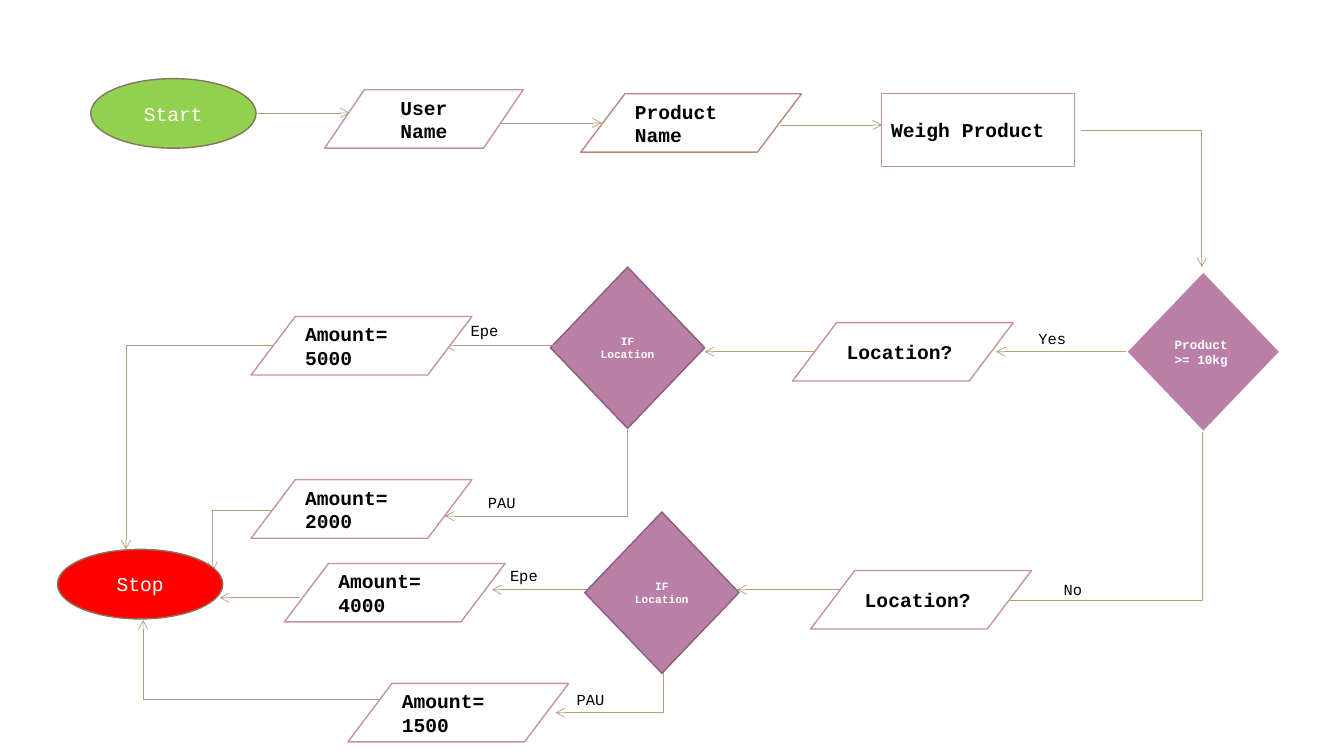
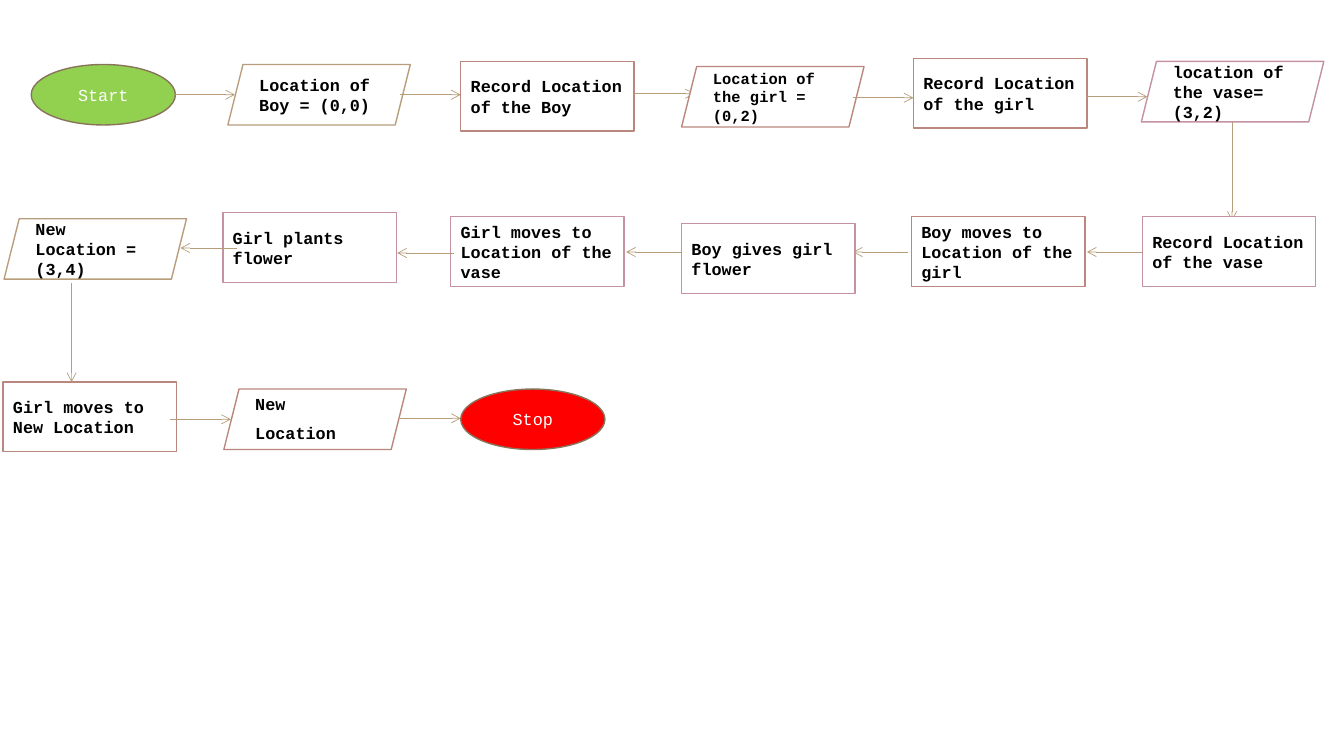
"""Build two flowchart slides: delivery pricing and the flower story."""
import pptx
import pptx.dml.color
import pptx.enum.shapes
import pptx.enum.text
import pptx.oxml.ns
import pptx.util
from lxml import etree

Inches = pptx.util.Inches
Pt = pptx.util.Pt
qn = pptx.oxml.ns.qn
SHAPE = pptx.enum.shapes.MSO_SHAPE
LINK = pptx.enum.shapes.MSO_CONNECTOR
ALIGN = pptx.enum.text.PP_ALIGN
ANCHOR = pptx.enum.text.MSO_ANCHOR
AUTOSIZE = pptx.enum.text.MSO_AUTO_SIZE
FONT = "Courier New"
COLORS = {
    "white": "FFFFFF", "black": "000000", "green": "92D050", "red": "FF0000",
    "olive": "88745B", "tan": "B89D7B", "rose": "C492A0", "clay": "BA877F",
    "purple": "BA7FA7", "plum": "8A5E7C",
}


def rgb(name):
    return pptx.dml.color.RGBColor.from_string(COLORS[name])


def add_arrow(s, route, x1, y1, x2, y2):
    if route == "down_left":
        mid_x, mid_y = (x1 + x2) / 2, (y1 + y2) / 2
        half_w, half_h = abs(y2 - y1) / 2, abs(x2 - x1) / 2
        x1, y1, x2, y2 = mid_x - half_w, mid_y - half_h, mid_x + half_w, mid_y + half_h
    link = LINK.STRAIGHT if route == "straight" else LINK.ELBOW
    c = s.shapes.add_connector(link, Inches(x1), Inches(y1), Inches(x2), Inches(y2))
    c.line.color.rgb = rgb("tan")
    c.line.width = Pt(0.5)
    sp_pr = c._element.spPr
    if route != "straight":
        sp_pr.find(qn("a:prstGeom")).set("prst", "bentConnector2")
    if route == "down_left":
        sp_pr.find(qn("a:xfrm")).set("rot", "5400000")
    etree.SubElement(sp_pr.find(qn("a:ln")), qn("a:tailEnd"), type="arrow")
    etree.SubElement(sp_pr, qn("a:effectLst"))


# preset, width, height, fill, line width, text size, bold, text colour, centred
STYLES = {
    "start": (SHAPE.OVAL, 1.64, 0.69, "green", 1, 14, False, "white", True),
    "stop": (SHAPE.OVAL, 1.64, 0.69, "red", 1, 14, False, "white", True),
    "user": (SHAPE.FLOWCHART_DATA, 1.97, 0.58, "white", 1, 14, True, "black", True),
    "data": (SHAPE.FLOWCHART_DATA, 2.19, 0.58, "white", 1, 14, True, "black", False),
    "weigh": (SHAPE.RECTANGLE, 1.92, 0.72, "white", 1, 14, True, "black", False),
    "weight_test": (SHAPE.FLOWCHART_DECISION, 1.53, 1.6, "purple", 1.5, 9, True, "white", False),
    "place_test": (SHAPE.FLOWCHART_DECISION, 1.53, 1.6, "purple", 1, 8, True, "white", True),
    "label": (None, 0.91, 0.29, None, None, 11, False, "black", False),
    "begin": (SHAPE.OVAL, 1.43, 0.6, "green", 1, 12, False, "white", True),
    "end": (SHAPE.OVAL, 1.43, 0.6, "red", 1, 12, False, "white", True),
    "place": (SHAPE.PARALLELOGRAM, 1.81, 0.6, "white", 1, 12, True, "black", False),
    "small_place": (SHAPE.PARALLELOGRAM, 1.81, 0.6, "white", 1, 11, True, "black", False),
    "step": (SHAPE.RECTANGLE, 1.72, 0.69, "white", 1, 12, True, "black", False),
}

pricing = [
    ("start", 0.9, 0.78, "Start", "olive"),
    ("straight", 2.56, 1.12, 3.47, 1.12),
    ("user", 3.22, 0.89, "User Name", "rose"),
    ("straight", 4.96, 1.22, 5.97, 1.22),
    ("data", 5.76, 0.93, "Product Name", "clay"),
    ("straight", 7.74, 1.24, 8.75, 1.24),
    ("weigh", 8.74, 0.93, "Weigh Product", "rose"),
    ("across", 10.72, 1.29, 11.92, 2.65),
    ("weight_test", 11.17, 2.69, "Product >= 10kg", "white"),
    ("straight", 11.17, 3.49, 9.88, 3.49),
    ("data", 7.86, 3.2, "Location?", "rose"),
    ("down_left", 11.93, 4.29, 9.88, 5.96),
    ("straight", 8.08, 3.49, 6.99, 3.49),
    ("place_test", 5.46, 2.65, "IF Location ", "plum"),
    ("straight", 5.51, 3.43, 4.41, 3.43),
    ("data", 2.49, 3.14, "Amount= 5000", "rose"),
    ("down_left", 6.22, 4.25, 4.41, 5.12),
    ("straight", 8.41, 5.85, 7.31, 5.85),
    ("down_left", 6.58, 6.65, 5.51, 7.07),
    ("straight", 5.97, 5.85, 4.88, 5.85),
    ("data", 2.49, 4.76, "Amount= 2000", "rose"),
    ("across", 2.71, 5.06, 2.11, 5.67),
    ("across", 3.8, 6.94, 1.42, 6.15),
    ("straight", 2.98, 5.93, 2.18, 5.93),
    ("stop", 0.57, 5.45, "Stop", "olive"),
    ("label", 10.2, 3.22, "Yes", None),
    ("label", 10.45, 5.71, "No", None),
    ("across", 2.71, 3.43, 1.25, 5.45),
    ("label", 4.57, 3.14, "Epe", None),
    ("label", 4.74, 4.84, "PAU", None),
    ("data", 8.04, 5.66, "Location?", "rose"),
    ("place_test", 5.8, 5.08, "IF Location ", "plum"),
    ("label", 4.96, 5.57, "Epe", None),
    ("label", 5.62, 6.8, "PAU", None),
    ("data", 2.82, 5.59, "Amount= 4000", "rose"),
    ("data", 3.45, 6.78, "Amount= 1500", "rose"),
]

story = [
    ("begin", 0.31, 0.64, "Start", "olive"),
    ("straight", 1.74, 0.94, 2.33, 0.94),
    ("place", 2.26, 0.64, "Location of Boy = (0,0)", "tan"),
    ("straight", 3.97, 0.94, 4.57, 0.94),
    ("step", 4.57, 0.61, "Record Location of the Boy", "clay"),
    ("straight", 6.29, 0.93, 6.89, 0.93),
    ("small_place", 6.76, 0.66, "Location of the girl = (0,2)", "clay"),
    ("straight", 8.46, 0.97, 9.06, 0.97),
    ("step", 9.06, 0.58, "Record Location of the girl", "clay"),
    ("straight", 10.78, 0.96, 11.38, 0.96),
    ("place", 11.32, 0.61, "location of the vase= (3,2)", "rose"),
    ("straight", 12.22, 1.21, 12.22, 2.19),
    ("step", 11.33, 2.15, "Record Location of the vase", "rose"),
    ("straight", 11.33, 2.5, 10.78, 2.5),
    ("step", 9.04, 2.15, "Boy moves to Location of the girl", "clay"),
    ("straight", 9.01, 2.5, 8.46, 2.5),
    ("step", 6.76, 2.22, "Boy gives girl flower", "rose"),
    ("straight", 6.76, 2.5, 6.21, 2.5),
    ("step", 4.47, 2.15, "Girl moves to Location of the vase", "rose"),
    ("straight", 4.5, 2.51, 3.94, 2.51),
    ("step", 2.21, 2.11, "Girl plants flower", "rose"),
    ("straight", 2.35, 2.46, 1.79, 2.46),
    ("place", 0.04, 2.17, "New Location = (3,4)", "tan"),
    ("straight", 0.71, 2.81, 0.71, 3.79),
    ("step", 0.03, 3.79, "Girl moves to New Location", "clay"),
    ("straight", 1.69, 4.16, 2.29, 4.16),
    ("place", 2.22, 3.86, "New Location", "clay"),
    ("straight", 3.97, 4.15, 4.57, 4.15),
    ("end", 4.57, 3.86, "Stop", "olive"),
]

prs = pptx.Presentation()
prs.slide_width, prs.slide_height = Inches(13.33), Inches(7.5)

for chart in (pricing, story):
    s = prs.slides.add_slide(prs.slide_layouts[6])
    for kind, x, y, *rest in chart:
        if kind not in STYLES:
            add_arrow(s, kind, x, y, *rest)
            continue
        text, outline = rest
        preset, w, h, fill, weight, size, bold, ink, centred = STYLES[kind]
        box = Inches(x), Inches(y), Inches(w), Inches(h)
        if preset is None:
            sp = s.shapes.add_textbox(*box)
            sp.text_frame.auto_size = AUTOSIZE.SHAPE_TO_FIT_TEXT
        else:
            sp = s.shapes.add_shape(preset, *box)
            sp.shadow.inherit = False
            sp.fill.solid()
            sp.fill.fore_color.rgb = rgb(fill)
            sp.line.color.rgb = rgb(outline)
            sp.line.width = Pt(weight)
            sp.text_frame.vertical_anchor = ANCHOR.MIDDLE
        tf = sp.text_frame
        tf.word_wrap = True
        p = tf.paragraphs[0]
        p.alignment = ALIGN.CENTER if centred else ALIGN.LEFT
        p.font.name, p.font.size, p.font.bold = FONT, Pt(size), bold
        p.font.color.rgb = rgb(ink)
        p.add_run().text = text
        if text == "New Location":
            r = p.add_run()
            r.text = "\u00a0"
            r.font.size = Pt(18)

prs.save("out.pptx")
